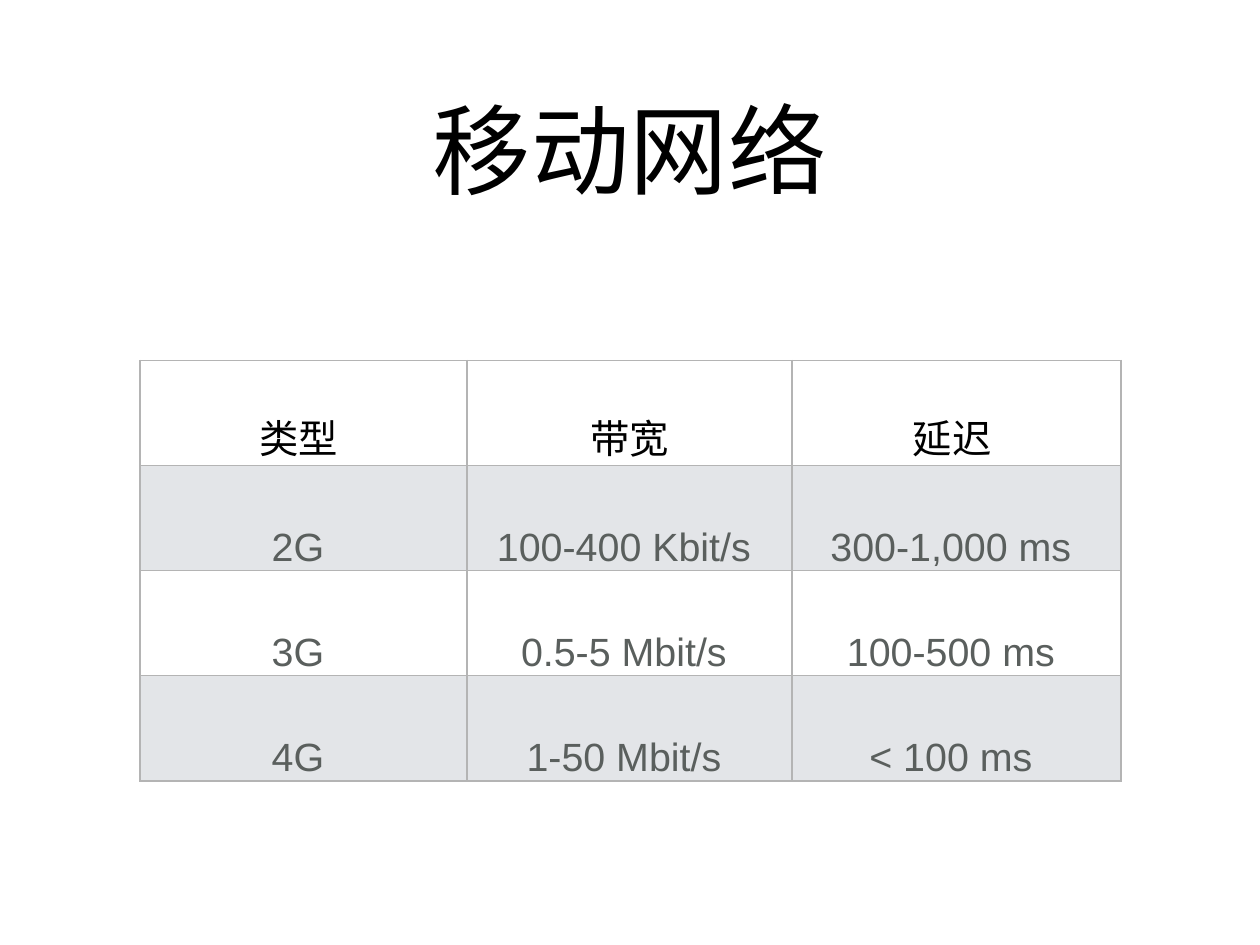
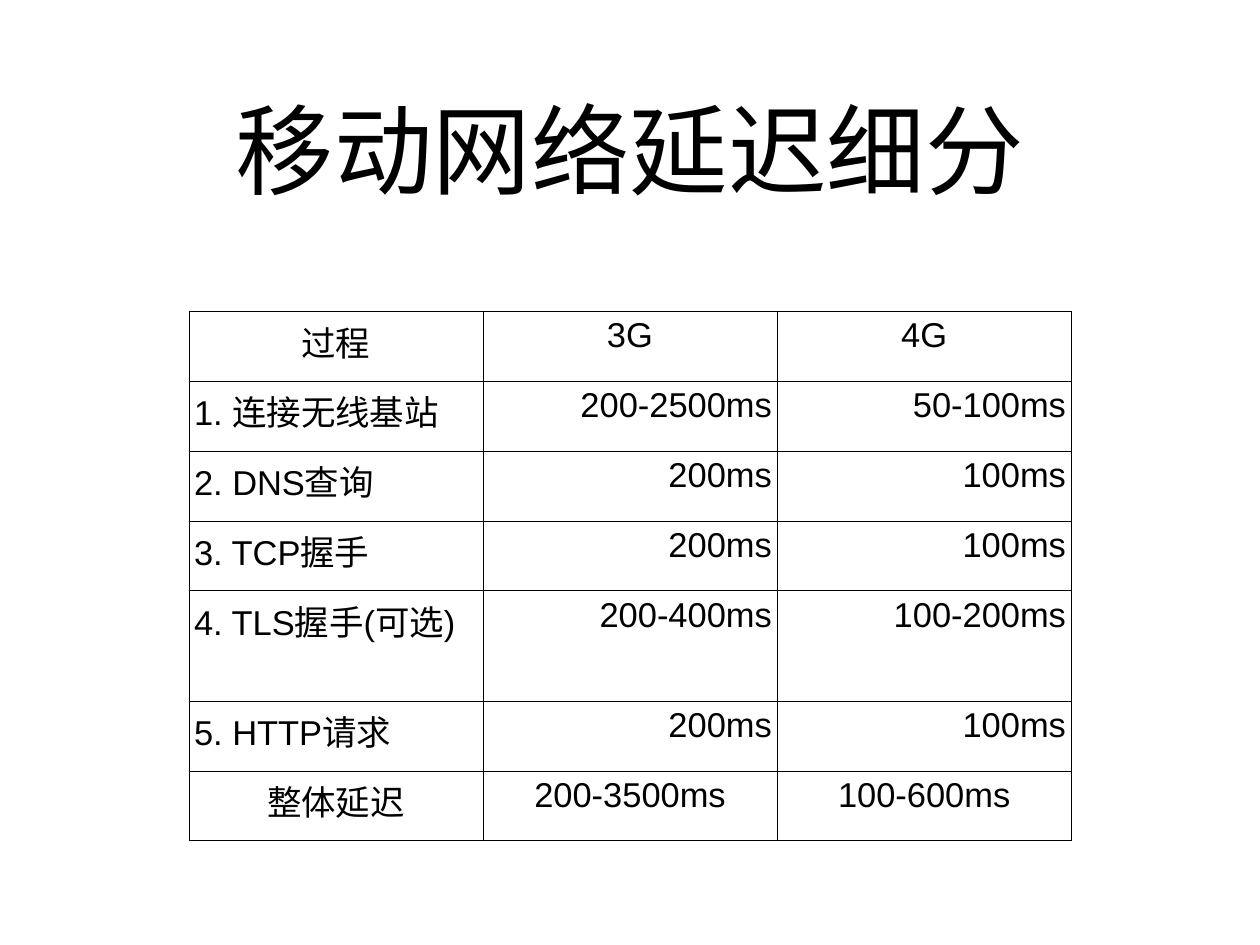
from lxml.etree import SubElement
from pptx import Presentation
from pptx.dml.color import RGBColor
from pptx.enum.text import MSO_ANCHOR, MSO_AUTO_SIZE, PP_ALIGN
from pptx.oxml.ns import qn
from pptx.util import Inches, Pt

BLACK = RGBColor(0x00, 0x00, 0x00)
WHITE = RGBColor(0xFF, 0xFF, 0xFF)
GREY_TEXT = RGBColor(0x5A, 0x5F, 0x5D)
GREY_BAND = RGBColor(0xE3, 0xE5, 0xE8)
GREY_LINE = RGBColor(0xB4, 0xB4, 0xB4)
FONT = "Arial"
TITLE_BOX = (1.04, 0.49, 12.14, 2.36)
PAD = 0.06
SIDES = ("left", "top", "right", "bottom")
LEFT, CENTER, RIGHT = PP_ALIGN.LEFT, PP_ALIGN.CENTER, PP_ALIGN.RIGHT

NETWORKS = [
    ("类型 ", "带宽", "延迟 "),
    ("2G ", "100-400 Kbit/s ", "300-1,000 ms "),
    ("3G ", "0.5-5 Mbit/s ", "100-500 ms "),
    ("4G ", "1-50 Mbit/s ", "< 100 ms "),
]
DELAYS = [
    ("过程", "3G", "4G"),
    ("1. 连接无线基站", "200-2500ms", "50-100ms"),
    ("2. DNS查询", "200ms", "100ms"),
    ("3. TCP握手", "200ms", "100ms"),
    ("4. TLS握手(可选)", "200-400ms", "100-200ms"),
    ("5. HTTP请求", "200ms", "100ms"),
    ("整体延迟", "200-3500ms", "100-600ms"),
]


def set_attrs(obj, values):
    for name, value in values.items():
        setattr(obj, name, value)


def write(p, text, size, color, **para):
    r = p.add_run()
    r.text = text
    set_attrs(r.font, {"name": FONT, "size": Pt(size), "bold": False})
    r.font.color.rgb = color
    set_attrs(p, para)


def margins(pad):
    return {f"margin_{side}": Inches(pad) for side in SIDES}


def add_titled_slide(prs, title):
    s = prs.slides.add_slide(prs.slide_layouts[5])
    sp = s.shapes.title
    set_attrs(sp, dict(zip(("left", "top", "width", "height"), map(Inches, TITLE_BOX))))
    tf = sp.text_frame
    set_attrs(tf, {"word_wrap": True, "auto_size": MSO_AUTO_SIZE.NONE,
                   "vertical_anchor": MSO_ANCHOR.MIDDLE, **margins(PAD)})
    write(tf.paragraphs[0], title, 80, BLACK, alignment=CENTER)
    return s


def add_borders(cell, color, width):
    tc_pr = cell._tc.get_or_add_tcPr()
    for tag in ("a:lnL", "a:lnR", "a:lnT", "a:lnB"):
        ln = SubElement(tc_pr, qn(tag), w=str(Pt(width)))
        fill = SubElement(ln, qn("a:solidFill"))
        SubElement(fill, qn("a:srgbClr"), val=str(color))


def add_grid(s, rows, left, top, col_widths, row_height, line, format_cell):
    frame = s.shapes.add_table(
        len(rows), len(col_widths), Inches(left), Inches(top),
        Inches(sum(col_widths)), Inches(row_height * len(rows)))
    table = frame.table
    set_attrs(table, {"first_row": False, "horz_banding": False})
    for col, width in zip(table.columns, col_widths):
        col.width = Inches(width)
    for i, row in enumerate(rows):
        table.rows[i].height = Inches(row_height)
        for j, text in enumerate(row):
            cell = table.cell(i, j)
            add_borders(cell, *line)
            format_cell(cell, i, j, text)


def format_network(cell, i, j, text):
    cell.fill.solid()
    cell.fill.fore_color.rgb = GREY_BAND if i % 2 else WHITE
    set_attrs(cell, {"vertical_anchor": MSO_ANCHOR.MIDDLE, **margins(0.01)})
    write(cell.text_frame.paragraphs[0], text, 32, GREY_TEXT if i else BLACK,
          alignment=CENTER, line_spacing=Pt(84), space_before=Pt(12))


def format_delay(cell, i, j, text):
    cell.fill.background()
    set_attrs(cell, margins(PAD))
    if i in (0, len(DELAYS) - 1):
        align = CENTER
    else:
        align = RIGHT if j else LEFT
    write(cell.text_frame.paragraphs[0], text, 28, BLACK, alignment=align)


def network_slide(prs):
    s = add_titled_slide(prs, "移动网络")
    add_grid(s, NETWORKS, 1.58, 4.07, (3.69, 3.67, 3.71), 1.11,
             (GREY_LINE, 1.3), format_network)


def delay_slide(prs):
    s = add_titled_slide(prs, "移动网络延迟细分")
    add_grid(s, DELAYS, 2.13, 3.51, (3.32,) * 3, 0.79,
             (BLACK, 0.35), format_delay)


def main():
    prs = Presentation()
    set_attrs(prs, {"slide_width": Inches(14.22), "slide_height": Inches(10.67)})
    network_slide(prs)
    delay_slide(prs)
    prs.save("out.pptx")


if __name__ == "__main__":
    main()
